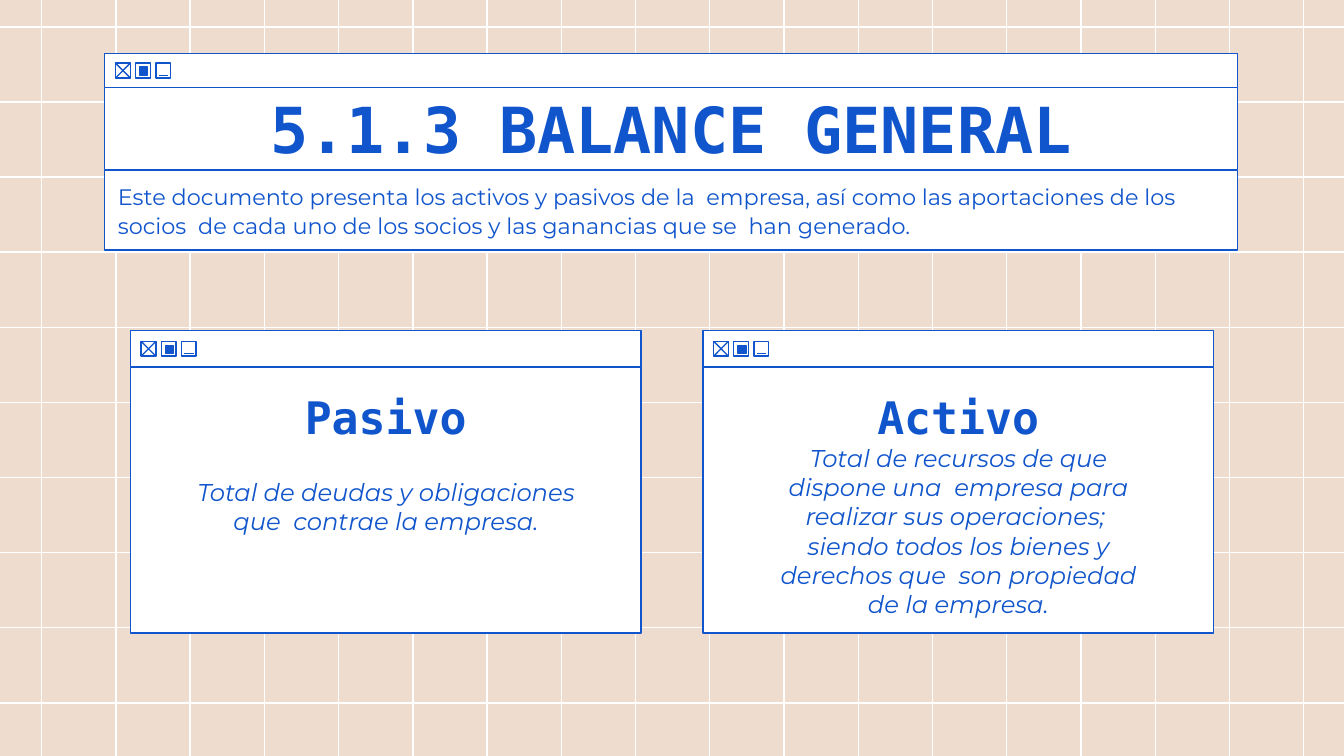
from lxml import etree
from pptx import Presentation
from pptx.dml.color import RGBColor
from pptx.enum.shapes import MSO_CONNECTOR as Connector, MSO_SHAPE as Shape
from pptx.enum.text import MSO_ANCHOR as Anchor, PP_ALIGN as Align
from pptx.oxml.ns import qn
from pptx.util import Inches, Pt

WIDTH = 10
HEIGHT = WIDTH * 9 / 16
BLUE, WHITE, SAND = "1155CC", "FFFFFF", "EEDCCE"
HEADING_FONT, BODY_FONT = "DejaVu Sans Mono", "Montserrat"


def color(hex_code):
    return RGBColor.from_string(hex_code)


def add_line(slide, x1, y1, x2, y2, line=BLUE):
    connector = slide.shapes.add_connector(
        Connector.STRAIGHT, Inches(x1), Inches(y1), Inches(x2), Inches(y2))
    connector.line.color.rgb = color(line)
    connector.line.width = Pt(0.75)
    properties = connector._element.find(qn("p:spPr"))
    etree.SubElement(properties, qn("a:effectLst"))


def add_box(slide, left, top, width, height, fill=None):
    box = slide.shapes.add_shape(
        Shape.RECTANGLE, Inches(left), Inches(top), Inches(width), Inches(height))
    box.shadow.inherit = False
    if fill:
        box.fill.solid()
        box.fill.fore_color.rgb = color(fill)
    else:
        box.fill.background()
    box.line.color.rgb = color(BLUE)
    box.line.width = Pt(0.75)
    return box


def write(shape, text, font, size, bold=False, italic=False,
          align=Align.CENTER, bottom=0.1):
    frame = shape.text_frame
    frame.word_wrap = True
    frame.vertical_anchor = Anchor.MIDDLE
    frame.margin_left = frame.margin_right = frame.margin_top = Inches(0.1)
    frame.margin_bottom = Inches(bottom)
    paragraph = frame.paragraphs[0]
    paragraph.alignment = align
    run = paragraph.add_run()
    run.text = text
    run.font.name = font
    run.font.size = Pt(size)
    run.font.bold = bold
    run.font.italic = italic
    run.font.color.rgb = color(BLUE)
    return paragraph


def add_text(slide, left, top, width, height, *args, **kwargs):
    box = slide.shapes.add_textbox(
        Inches(left), Inches(top), Inches(width), Inches(height))
    write(box, *args, **kwargs)


def add_grid(slide):
    for column in range(18):
        x = 0.31 + column * 9.39 / 17
        add_line(slide, x, -0.01, x, 5.63, WHITE)
    for row in range(10):
        y = 0.2 + row * 5.03 / 9
        add_line(slide, WIDTH, y, 0, y, WHITE)


def add_title_bar(slide, left, top, width, height):
    """Window bar with close, maximize and minimize buttons."""
    add_box(slide, left, top, width, height, WHITE)
    size, step = 0.11, 0.15
    x, y = left + 0.08, top + (height - size) / 2
    for index in range(3):
        add_box(slide, x + index * step, y, size, size)
    add_line(slide, x, y, x + size, y + size)
    add_line(slide, x + size, y, x, y + size)
    add_box(slide, x + step + 0.03, y + 0.03, 0.06, 0.06, BLUE)
    minimize = x + 2 * step
    add_line(slide, minimize + 0.02, y + 0.09, minimize + 0.09, y + 0.09)


def add_card(slide, left, heading, text, text_top, text_height):
    width, text_width = 3.8, 3.09
    add_box(slide, left, 2.73, width, 1.98, WHITE)
    add_title_bar(slide, left, 2.46, width, 0.27)
    add_text(slide, left, 2.92, width, 0.36, heading, HEADING_FONT, 24, bold=True)
    add_text(slide, left + (width - text_width) / 2, text_top, text_width,
             text_height, text, BODY_FONT, 13, italic=True, bottom=0.32)


def add_header(slide):
    left, width = 0.78, 8.43
    title = add_box(slide, left, 0.65, width, 0.61, WHITE)
    write(title, "5.1.3 BALANCE GENERAL", HEADING_FONT, 34, bold=True)
    add_title_bar(slide, left, 0.4, width, 0.25)
    summary = add_box(slide, left, 1.27, width, 0.59, WHITE)
    paragraph = write(
        summary,
        "Este documento presenta los activos y pasivos de la  empresa, así como "
        "las aportaciones de los socios  de cada uno de los socios y las "
        "ganancias que se  han generado.",
        BODY_FONT, 12, align=Align.LEFT)
    paragraph.line_spacing = 1.07
    paragraph.space_after = Pt(8)


def main():
    presentation = Presentation()
    presentation.slide_width = Inches(WIDTH)
    presentation.slide_height = Inches(HEIGHT)
    slide = presentation.slides.add_slide(presentation.slide_layouts[6])

    # Background
    slide.background.fill.solid()
    slide.background.fill.fore_color.rgb = color(SAND)
    add_grid(slide)

    # Windows
    add_header(slide)
    add_card(slide, 0.97, "Pasivo",
             "Total de deudas y obligaciones que  contrae la empresa.", 3.42, 0.92)
    add_card(slide, 5.23, "Activo",
             "Total de recursos de que dispone una  empresa para realizar sus "
             "operaciones;  siendo todos los bienes y derechos que  son propiedad "
             "de la empresa.", 3.41, 1.3)

    presentation.save("out.pptx")


if __name__ == "__main__":
    main()
